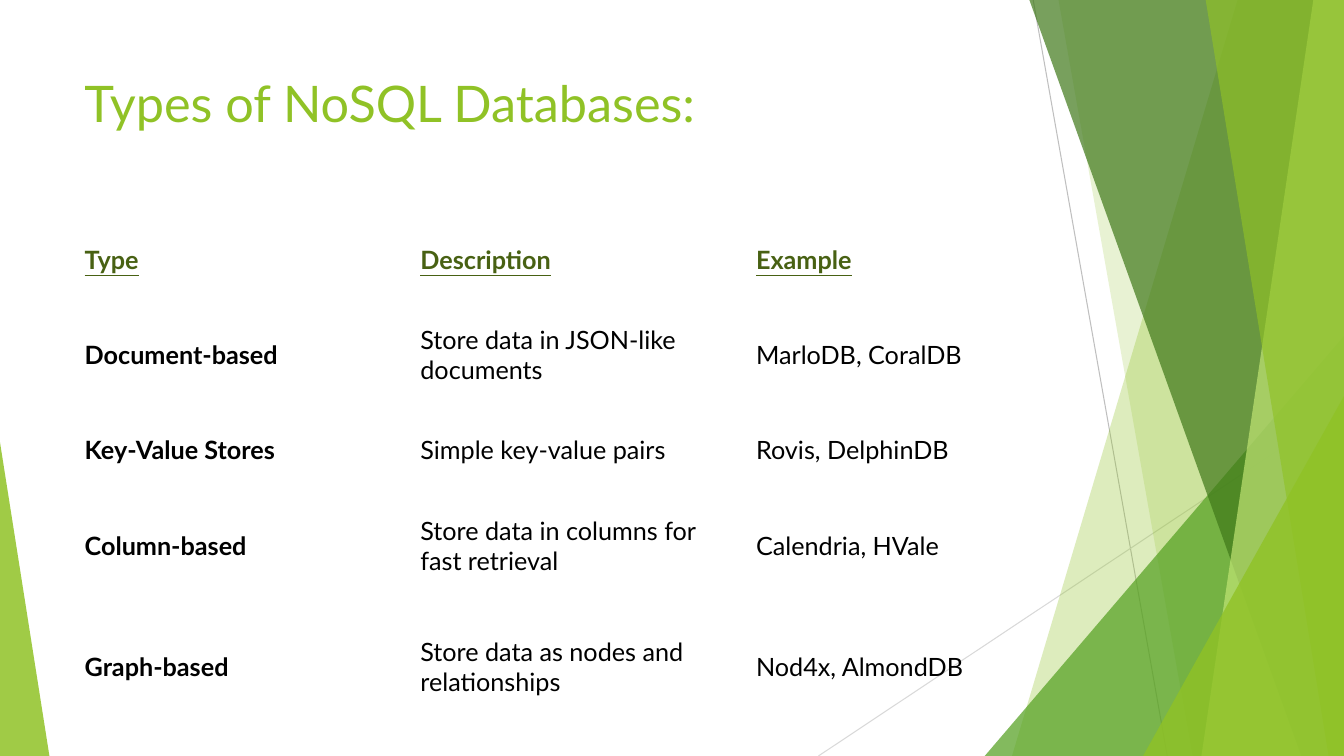
from pptx import Presentation, util as u
from pptx.dml.color import RGBColor
from pptx.enum import shapes, text
from pptx.oxml import parse_xml
from pptx.oxml.ns import nsdecls

Pt = u.Pt
W, H = 960, 540
TOP = -0.6


def paint(shape, tint, alpha):
    shape.shadow.inherit = False
    shape.line.fill.background()
    shape.fill.solid()
    shape.fill.fore_color.rgb = RGBColor.from_string(tint)
    clr = shape.element.spPr.xpath("./a:solidFill/a:srgbClr")[0]
    clr.append(parse_xml(f'<a:alpha {nsdecls("a")} val="{alpha * 1000}"/>'))


def write(frame, words, look):
    frame.word_wrap = True
    run = frame.paragraphs[0].add_run()
    run.text = words
    run.font.color.rgb = RGBColor.from_string(look["tint"])
    for key, val in look["font"].items():
        setattr(run.font, key, val)


deck = Presentation()
deck.slide_width, deck.slide_height = Pt(W), Pt(H)
slide = deck.slides.add_slide(deck.slide_layouts[6])
items = slide.shapes

# Thin lines behind the facets
for x1, y1, x2, y2, tint in [
    (738, 0, 833.8, H, "BFBFBF"),
    (W, 290.2, 584.6, H, "D9D9D9"),
]:
    line = items.add_connector(
        shapes.MSO_CONNECTOR.STRAIGHT, Pt(x1), Pt(y1), Pt(x2), Pt(y2))
    line.line.color.rgb = RGBColor.from_string(tint)
    line.line.width = Pt(0.75)
    line.element.spPr.append(parse_xml(f'<a:effectLst {nsdecls("a")}/>'))

# Facets: a band runs from its top x and bottom x to the right edge,
# a corner is a right triangle standing on the bottom edge
facets = [
    ("band", 884.2, 722.9, "90C226", 30),
    ("band", 756, 851.8, "90C226", 20),
    ("corner", (703.4, 240, 256.6), 1, "54A021", 72),
    ("band", 735.1, 929.5, "3F7819", 70),
    ("band", 938.2, 858.2, "C0E474", 70),
    ("band", 861.1, 949, "90C226", 65),
    ("corner", (816.5, 283, 143.5), 1, "90C226", 80),
    ("corner", (0, 316, 35.3), 0, "90C226", 85),
]
for kind, a, b, tint, alpha in facets:
    if kind == "band":
        pen = items.build_freeform(Pt(a), Pt(TOP))
        pen.add_line_segments(
            [(Pt(W), Pt(TOP)), (Pt(W), Pt(H)), (Pt(b), Pt(H))])
        facet = pen.convert_to_shape()
    else:
        left, top, width = a
        facet = items.add_shape(
            shapes.MSO_SHAPE.ISOSCELES_TRIANGLE,
            Pt(left), Pt(top), Pt(width), Pt(H - top))
        facet.adjustments[0] = b
    paint(facet, tint, alpha)

# Text looks
looks = {
    "title": {"tint": "90C226", "font": {"name": "Lato", "size": Pt(36)}},
    "head": {"tint": "486113", "font": {
        "name": "Lato", "size": Pt(18), "bold": True, "underline": True}},
    "type": {"tint": "000000", "font": {
        "name": "Lato", "size": Pt(18), "bold": True}},
    "body": {"tint": "000000", "font": {
        "name": "Lato", "size": Pt(18), "bold": False}},
}

# Title
title = items.add_textbox(Pt(53.3), Pt(48.2), Pt(676.8), Pt(103.7))
write(title.text_frame, "Types of NoSQL Databases:", looks["title"])

# Table without style or grid
rows = [
    ("Type", "Description", "Example"),
    ("Document-based", "Store data in JSON-like documents",
     "MarloDB, CoralDB"),
    ("Key-Value Stores", "Simple key-value pairs", "Rovis, DelphinDB"),
    ("Column-based", "Store data in columns for fast retrieval",
     "Calendria, HVale"),
    ("Graph-based", "Store data as nodes and relationships",
     "Nod4x, AlmondDB"),
]
highs = [49.7, 86.4, 49.7, 86.4, 86.4]
frame = items.add_table(
    len(rows), 3, Pt(53.3), Pt(160.6), Pt(719.4), Pt(sum(highs)))
style = frame.element.xpath(".//a:tableStyleId")[0]
style.text = "{2D5ABB26-0587-4C30-8999-92F81FD0307C}"
table = frame.table
table.first_row = table.horz_banding = False
for col in table.columns:
    col.width = Pt(239.8)
for r, row in enumerate(rows):
    table.rows[r].height = Pt(highs[r])
    for c, words in enumerate(row):
        cell = table.cell(r, c)
        cell.fill.background()
        cell.vertical_anchor = text.MSO_ANCHOR.MIDDLE
        look = "head" if r == 0 else "type" if c == 0 else "body"
        write(cell.text_frame, words, looks[look])

deck.save("out.pptx")
